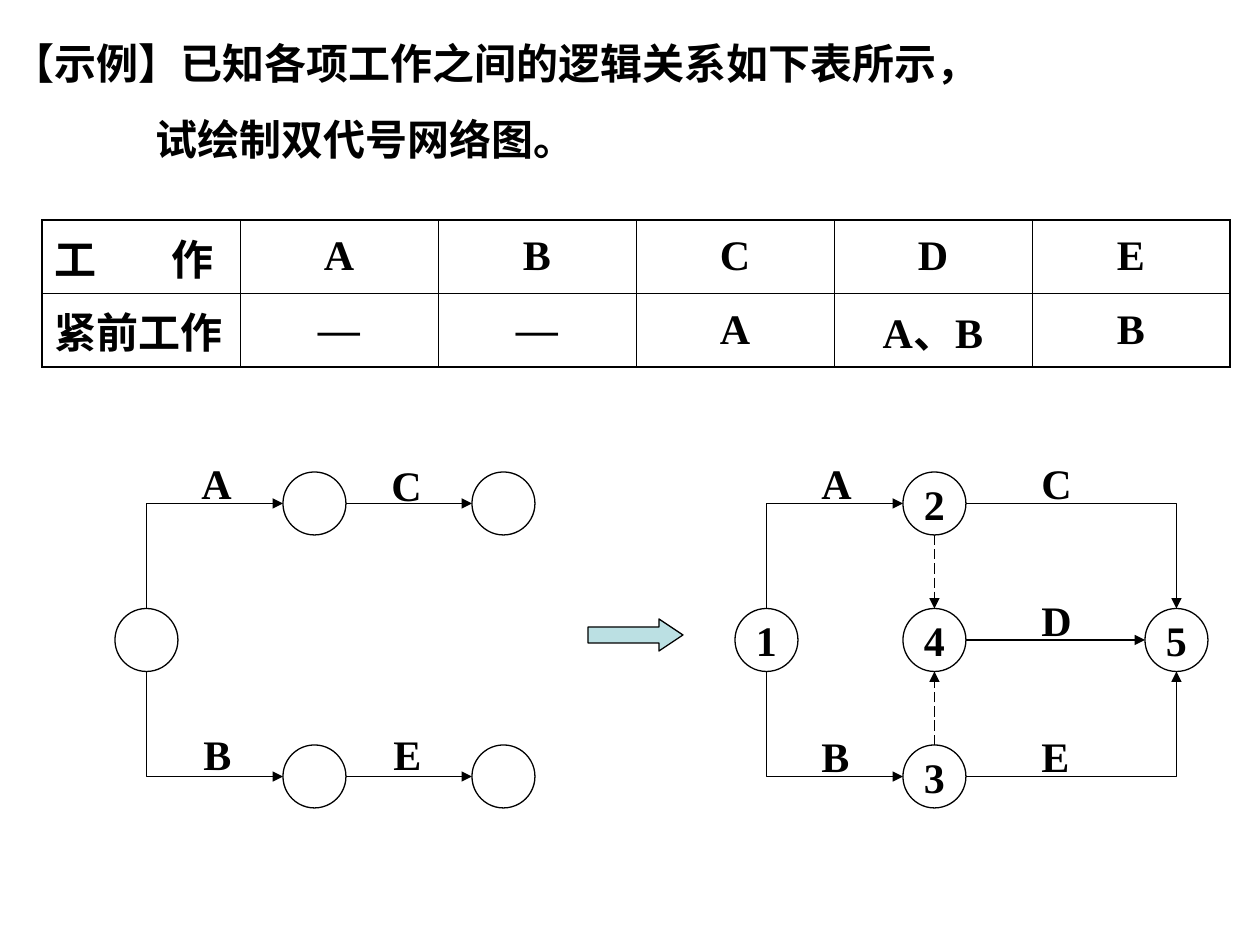
from lxml import etree
from pptx import Presentation
from pptx import util as u
from pptx.dml.color import RGBColor
from pptx.enum import dml, shapes, text
from pptx.oxml.ns import qn

PX_PER_INCH = 126
BLACK = "000000"
SERIF = "Times New Roman"
NODE = 63  # diameter of a network node
SIDES = {"top": (0.5, 0), "left": (0, 0.5), "bottom": (0.5, 1), "right": (1, 0.5)}


def px(*lengths):
    return [u.Emu(round(length * 914400 / PX_PER_INCH)) for length in lengths]


def color(hex_string):
    return RGBColor.from_string(hex_string)


def add_run(paragraph, content, font_name=SERIF):
    run = paragraph.add_run()
    run.text = content
    run.font.name = font_name
    run.font.size = u.Pt(24)
    run.font.bold = True
    run.font.color.rgb = color(BLACK)


def add_shape(slide, kind, box, fill=None):
    shape = slide.shapes.add_shape(kind, *px(*box))
    shape.shadow.inherit = False
    if fill:
        shape.fill.solid()
        shape.fill.fore_color.rgb = color(fill)
    else:
        shape.fill.background()
    shape.line.color.rgb = color(BLACK)
    shape.line.width = u.Pt(0.75)
    return shape


def add_text_box(slide, box):
    frame = slide.shapes.add_textbox(*px(*box)).text_frame
    frame.word_wrap = True
    return frame


def add_title(slide, box):
    frame = add_text_box(slide, box)
    add_run(frame.paragraphs[0], "【示例】已知各项工作之间的逻辑关系如下表所示，", "Arial")
    second = frame.add_paragraph()
    second.space_before = u.Pt(15)
    properties = second._p.get_or_add_pPr()
    properties.set("marL", str(px(143)[0]))
    properties.set("indent", "0")
    add_run(second, "试绘制双代号网络图。", "Arial")


def set_borders(cell, widths):
    properties = cell._tc.get_or_add_tcPr()
    for position, (tag, width) in enumerate(widths.items()):
        border = etree.Element(qn(f"a:{tag}"), w=str(u.Pt(width)))
        fill = etree.SubElement(border, qn("a:solidFill"))
        etree.SubElement(fill, qn("a:srgbClr"), val=BLACK)
        properties.insert(position, border)


def add_work_table(slide, box):
    rows = [["工\t作", "A", "B", "C", "D", "E"],
            ["紧前工作", "—", "—", "A", "A、B", "B"]]
    last_row, last_column = len(rows) - 1, len(rows[0]) - 1
    table = slide.shapes.add_table(len(rows), len(rows[0]), *px(*box)).table
    table.first_row = table.horz_banding = False
    thin, thick = 0.45, 1.08
    for r, row in enumerate(rows):
        for c, content in enumerate(row):
            cell = table.cell(r, c)
            cell.fill.background()
            set_borders(cell, {"lnL": thin if c else thick,
                               "lnR": thin if c < last_column else thick,
                               "lnT": thin if r else thick,
                               "lnB": thin if r < last_row else thick})
            paragraph = cell.text_frame.paragraphs[0]
            if c:
                cell.vertical_anchor = text.MSO_ANCHOR.MIDDLE
                paragraph.alignment = text.PP_ALIGN.CENTER
            if "\t" in content:
                tabs = etree.SubElement(paragraph._p.get_or_add_pPr(), qn("a:tabLst"))
                etree.SubElement(tabs, qn("a:tab"), pos=str(px(117)[0]), algn="l")
            add_run(paragraph, content)


def add_node(slide, left, top, number):
    node = add_shape(slide, shapes.MSO_SHAPE.OVAL, (left, top, NODE, NODE))
    if number:
        frame = node.text_frame
        frame.margin_left = frame.margin_right = 0
        frame.margin_top = frame.margin_bottom = 0
        frame.vertical_anchor = text.MSO_ANCHOR.MIDDLE
        frame.paragraphs[0].alignment = text.PP_ALIGN.CENTER
        add_run(frame.paragraphs[0], number)


def add_arrow(slide, start, end, vertical_first=False, dashed=False):
    (x1, y1), (x2, y2) = start, end
    bent = x1 != x2 and y1 != y2
    turned = bent and vertical_first
    rising = y2 < y1
    if turned:
        # A quarter turn makes the elbow leave its start vertically
        middle_x, middle_y = (x1 + x2) / 2, (y1 + y2) / 2
        half_width, half_height = abs(y2 - y1) / 2, (x2 - x1) / 2
        if not rising:
            half_height = -half_height
        x1, x2 = middle_x + half_width, middle_x - half_width
        y1, y2 = middle_y + half_height, middle_y - half_height
    kind = shapes.MSO_CONNECTOR.ELBOW if bent else shapes.MSO_CONNECTOR.STRAIGHT
    connector = slide.shapes.add_connector(kind, *px(x1, y1, x2, y2))
    connector.line.color.rgb = color(BLACK)
    connector.line.width = u.Pt(0.75)
    if dashed:
        connector.line.dash_style = dml.MSO_LINE.LONG_DASH
    properties = connector._element.spPr
    if bent:
        properties.find(qn("a:prstGeom")).set("prst", "bentConnector2")
    if turned:
        degrees = 90 if rising else 270
        properties.find(qn("a:xfrm")).set("rot", str(degrees * 60000))
    etree.SubElement(properties.find(qn("a:ln")), qn("a:tailEnd"), type="triangle")
    etree.SubElement(properties, qn("a:effectLst"))


def add_network(slide, box, nodes, arrows, labels):
    """nodes: name -> (column x, row, number); rows are 0 top, 1 middle, 2 bottom."""
    left, top, _, height = box
    row_step = (height - NODE) / 2
    corners = {name: (left + x, top + row * row_step) for name, (x, row, _) in nodes.items()}

    def side_point(name, side):
        x, y = corners[name]
        return tuple(a + NODE * f for a, f in zip((x, y), SIDES[side]))

    for name, (_, _, number) in nodes.items():
        add_node(slide, *corners[name], number)
    for start, start_side, end, end_side, dashed in arrows:
        add_arrow(slide, side_point(start, start_side), side_point(end, end_side),
                  start_side in ("top", "bottom"), dashed)
    for content, x, y in labels:
        frame = add_text_box(slide, (left + x, top + y, NODE, NODE))
        add_run(frame.paragraphs[0], content)


def add_draft_network(slide, box):
    nodes = {"start": (0, 1, ""), "A": (168, 0, ""), "B": (168, 2, ""),
             "C": (357, 0, ""), "E": (357, 2, "")}
    arrows = [("start", "top", "A", "left", False),
              ("start", "bottom", "B", "left", False),
              ("A", "right", "C", "left", False),
              ("B", "right", "E", "left", False)]
    labels = [("A", 74, -21), ("B", 76, 250), ("C", 264, -19), ("E", 266, 250)]
    add_network(slide, box, nodes, arrows, labels)


def add_final_network(slide, box):
    nodes = {"1": (0, 1, "1"), "2": (168, 0, "2"), "3": (168, 2, "3"),
             "4": (168, 1, "4"), "5": (410, 1, "5")}
    arrows = [("1", "top", "2", "left", False),
              ("1", "bottom", "3", "left", False),
              ("2", "right", "5", "top", False),
              ("3", "right", "5", "bottom", False),
              ("4", "right", "5", "left", False),
              ("2", "bottom", "4", "top", True),
              ("3", "top", "4", "bottom", True)]
    labels = [("A", 74, -21), ("B", 74, 252),
              ("C", 294, -21), ("D", 294, 116), ("E", 294, 252)]
    add_network(slide, box, nodes, arrows, labels)


def add_step_arrow(slide, box):
    arrow = add_shape(slide, shapes.MSO_SHAPE.RIGHT_ARROW, box, "BBE0E3")
    arrow.adjustments[0] = 0.5
    arrow.adjustments[1] = 0.75


def main():
    presentation = Presentation()
    presentation.slide_width, presentation.slide_height = px(1260, 945)
    slide = presentation.slides.add_slide(presentation.slide_layouts[6])
    add_title(slide, (0, 31, 1187, 140))
    add_work_table(slide, (42, 220, 1188, 147))
    add_draft_network(slide, (115, 472, 420, 336))
    add_step_arrow(slide, (588, 619, 95, 32))
    add_final_network(slide, (735, 472, 473, 336))
    presentation.save("out.pptx")


if __name__ == "__main__":
    main()
